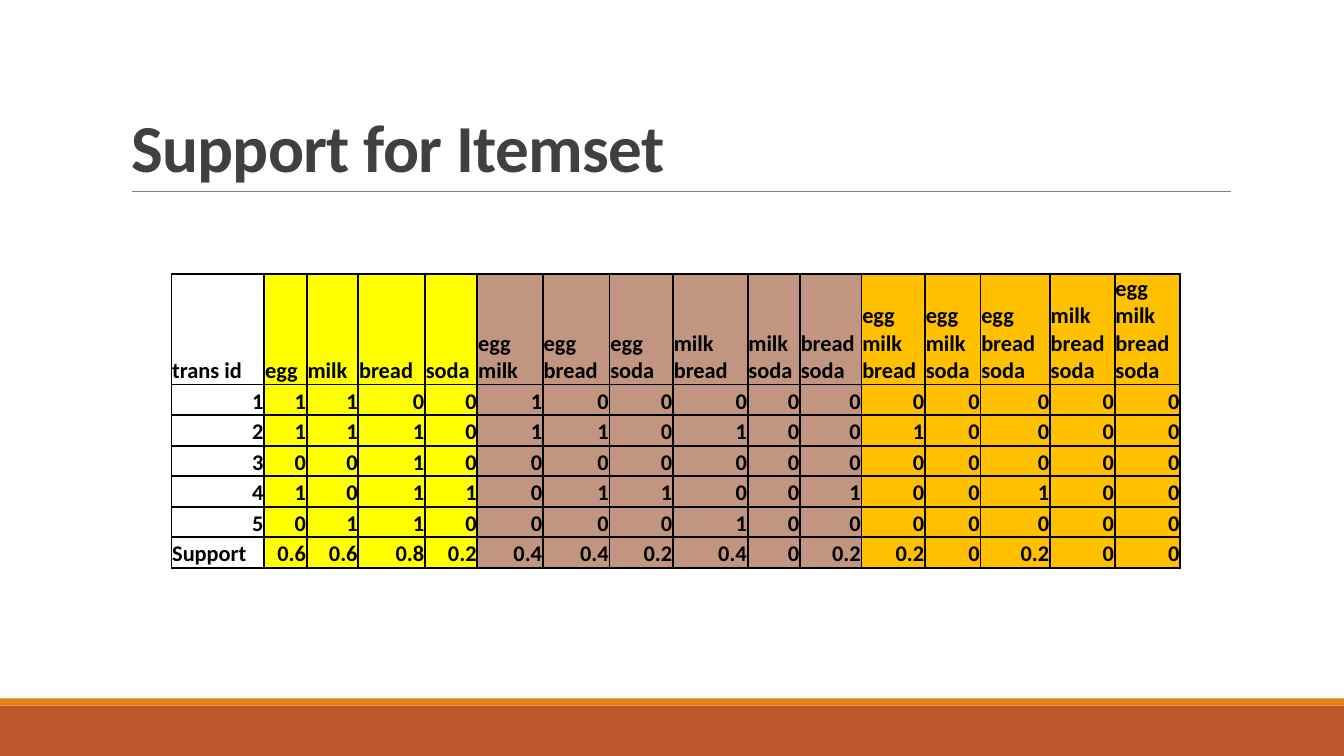
from itertools import combinations

from lxml import etree
from pptx import Presentation
from pptx import util as u
from pptx.dml.color import RGBColor
from pptx.enum import shapes, text
from pptx.oxml.ns import qn

BLACK = RGBColor(0x00, 0x00, 0x00)
TITLE_GREY = RGBColor(0x40, 0x40, 0x40)
RULE_GREY = RGBColor(0x80, 0x80, 0x80)
RUST = RGBColor(0xBD, 0x58, 0x2C)
ORANGE = RGBColor(0xE4, 0x83, 0x12)
SIZE_FILLS = {
    1: RGBColor(0xFF, 0xFF, 0x00),
    2: RGBColor(0xC2, 0x95, 0x80),
    3: RGBColor(0xFF, 0xC0, 0x00),
    4: RGBColor(0xFF, 0xC0, 0x00),
}

ITEMS = ["egg", "milk", "bread", "soda"]
TRANSACTIONS = [
    {"egg", "milk"},
    {"egg", "milk", "bread"},
    {"bread"},
    {"egg", "bread", "soda"},
    {"milk", "bread"},
]
COL_WIDTHS = [2.34, 1.07, 1.3, 1.68, 1.32, 1.65, 1.68, 1.6,
              1.88, 1.32, 1.55, 1.6, 1.4, 1.75, 1.63, 1.65]
HEADER_HEIGHT, ROW_HEIGHT = 2, 0.77


class Deck:
    font = "Calibri"

    def __init__(self, width, height):
        self.prs = Presentation()
        self.prs.slide_width = u.Cm(width)
        self.prs.slide_height = u.Cm(height)
        self.s = self.prs.slides.add_slide(self.prs.slide_layouts[5])

    def style(self, p, size, color):
        for r in p.runs:
            r.font.name = self.font
            r.font.size = u.Pt(size)
            r.font.bold = True
            r.font.color.rgb = color

    def title(self, words, x, y, w, h):
        sp = self.s.shapes.title
        sp.left, sp.top, sp.width, sp.height = map(u.Cm, (x, y, w, h))
        tf = sp.text_frame
        tf.text = words
        tf.vertical_anchor = text.MSO_ANCHOR.BOTTOM
        p = tf.paragraphs[0]
        p.alignment = text.PP_ALIGN.LEFT
        p.line_spacing = 0.85
        self.style(p, 48, TITLE_GREY)
        p.runs[0]._r.get_or_add_rPr().set("spc", "-50")

    def bar(self, x, y, w, h, color):
        sp = self.s.shapes.add_shape(
            shapes.MSO_SHAPE.RECTANGLE, *map(u.Cm, (x, y, w, h)))
        sp.shadow.inherit = False
        sp.fill.solid()
        sp.fill.fore_color.rgb = color
        sp.line.fill.background()

    def rule(self, x1, x2, y, color):
        line = self.s.shapes.add_connector(
            shapes.MSO_CONNECTOR.STRAIGHT, *map(u.Cm, (x1, y, x2, y)))
        line.line.color.rgb = color
        line.line.width = u.Pt(0.5)
        etree.SubElement(line._element.spPr, qn("a:effectLst"))

    def borders(self, cell, bottom):
        tcPr = cell._tc.get_or_add_tcPr()
        for side, width in (("L", 1.5), ("R", 1.5), ("T", 1.5), ("B", bottom)):
            ln = etree.SubElement(tcPr, qn(f"a:ln{side}"), w=str(u.Pt(width)))
            fill = etree.SubElement(ln, qn("a:solidFill"))
            etree.SubElement(fill, qn("a:srgbClr"), val=str(BLACK))

    def cell(self, cell, words, fill, align, bottom):
        cell.margin_left = cell.margin_right = cell.margin_top = u.Cm(0.02)
        cell.margin_bottom = 0
        cell.vertical_anchor = text.MSO_ANCHOR.BOTTOM
        self.borders(cell, bottom)
        if fill is None:
            cell.fill.background()
        else:
            cell.fill.solid()
            cell.fill.fore_color.rgb = fill
        p = cell.text_frame.paragraphs[0]
        p.text = words
        p.alignment = align
        self.style(p, 16, BLACK)

    def table(self, rows, fills, x, y):
        heights = [HEADER_HEIGHT] + [ROW_HEIGHT] * (len(rows) - 1)
        table = self.s.shapes.add_table(
            len(rows), len(fills),
            *map(u.Cm, (x, y, sum(COL_WIDTHS), sum(heights)))).table
        for col, width in zip(table.columns, COL_WIDTHS):
            col.width = u.Cm(width)
        for row, height in zip(table.rows, heights):
            row.height = u.Cm(height)
        last = len(rows) - 1
        for i, row in enumerate(rows):
            for j, words in enumerate(row):
                label = i == 0 or (i == last and j == 0)
                align = text.PP_ALIGN.LEFT if label else text.PP_ALIGN.RIGHT
                bottom = 1 if i == last and j > 1 else 1.5
                self.cell(table.cell(i, j), words, fills[j], align, bottom)


def support_rows(itemsets):
    hits = [[int(t.issuperset(i)) for i in itemsets] for t in TRANSACTIONS]
    rows = [["trans id"] + [" ".join(i) for i in itemsets]]
    rows += [[str(n)] + [str(h) for h in row] for n, row in enumerate(hits, 1)]
    support = [f"{sum(col) / len(hits):g}" for col in zip(*hits)]
    return rows + [["Support"] + support]


def main():
    deck = Deck(33.87, 19.05)
    deck.bar(0, 17.78, 33.87, 1.27, RUST)
    deck.bar(0, 17.6, 33.87, 0.18, ORANGE)
    deck.rule(3.33, 31.01, 4.83, RULE_GREY)
    deck.title("Support for Itemset", 3.05, 0.79, 27.94, 4.04)
    itemsets = [i for size in SIZE_FILLS for i in combinations(ITEMS, size)]
    fills = [None] + [SIZE_FILLS[len(i)] for i in itemsets]
    deck.table(support_rows(itemsets), fills, 4.32, 6.91)
    deck.prs.save("out.pptx")


if __name__ == "__main__":
    main()
